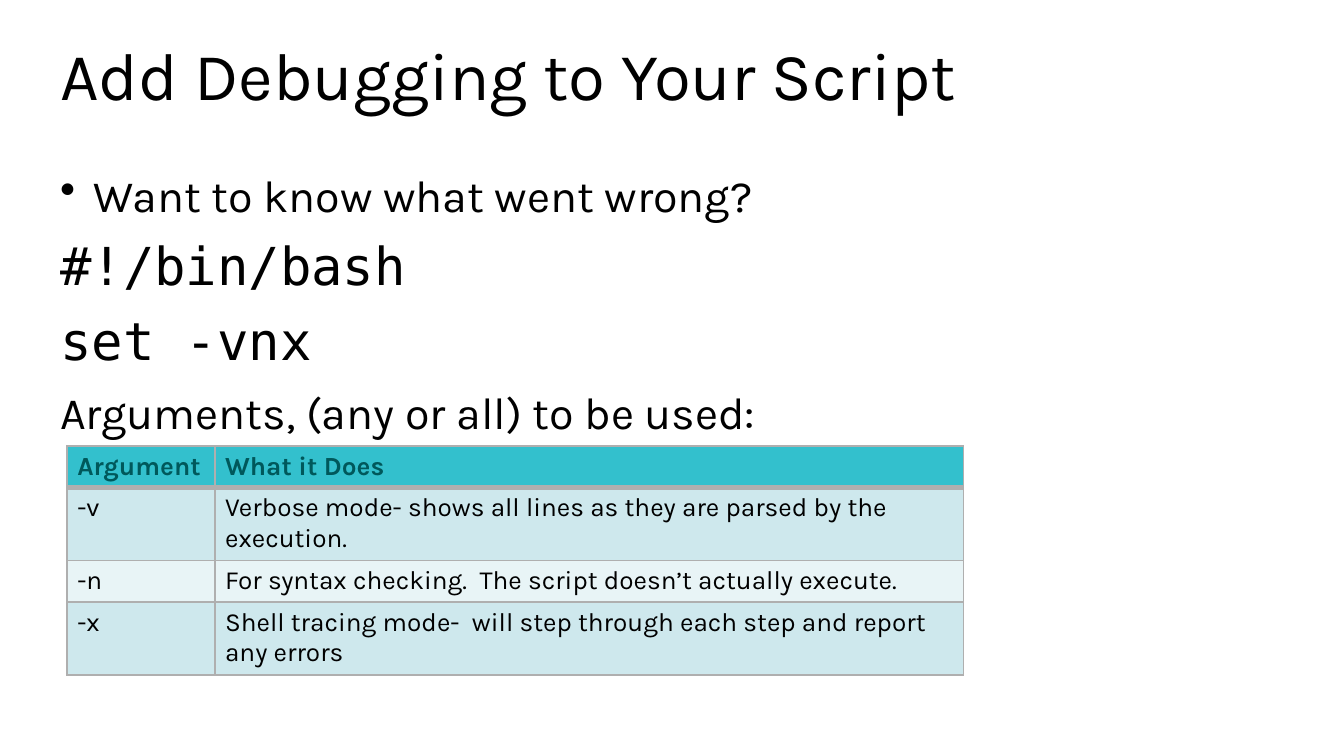
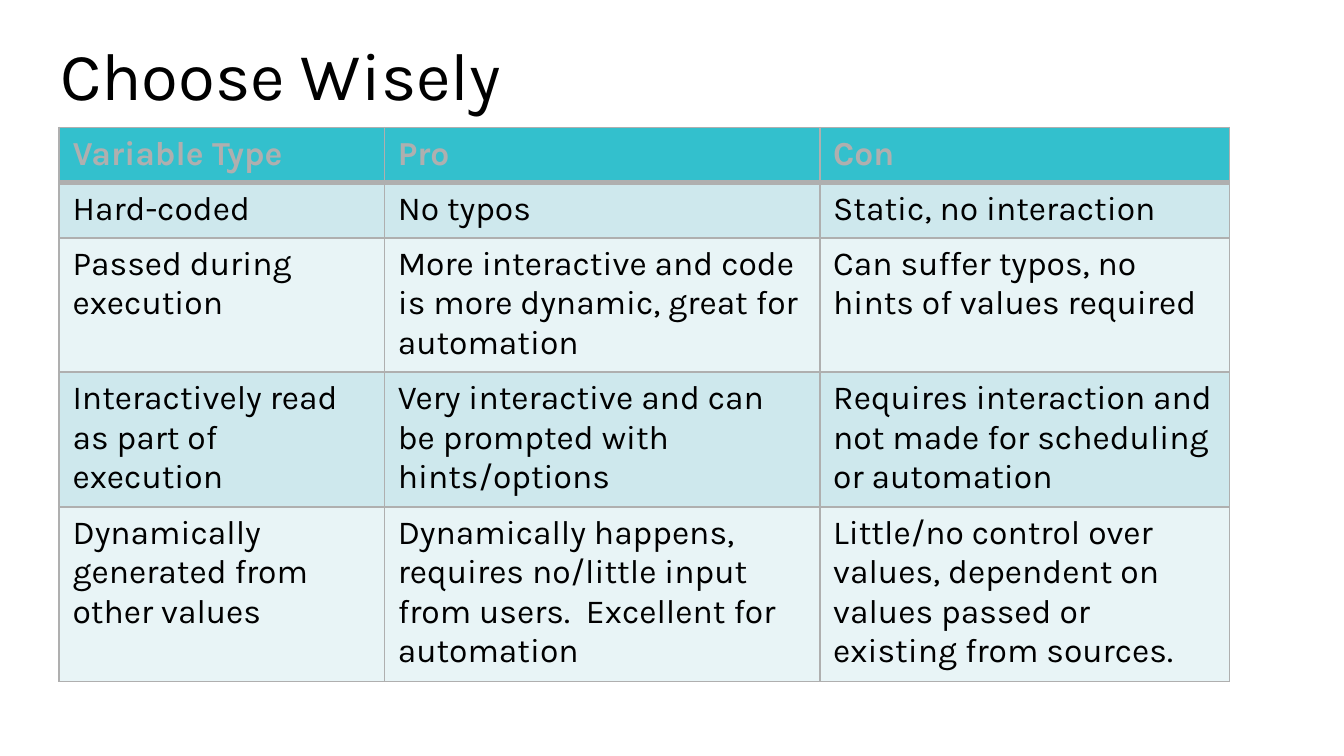
import pptx
import pptx.util
import pptx.dml.color
import pptx.enum.text
import pptx.oxml.ns
import lxml.etree
from collections import namedtuple
from dataclasses import dataclass

Box = namedtuple("Box", "x y w h")


@dataclass(frozen=True)
class Theme:
    font: str = "Karla"
    mono: str = "DejaVu Sans Mono"
    ink: str = "000000"
    header: str = "33C0CD"
    header_ink: str = "00585B"
    rule: str = "AFAFAF"
    bands: tuple = ("CEE8ED", "E8F4F6")
    title: int = 36
    title_line: int = 35
    body: int = 24
    code: int = 28
    table: int = 18
    table_small: int = 14
    thin: int = 1
    thick: int = 3


T = Theme()
UNIT = pptx.util.Inches(0.1)
SLIDE = Box(0, 0, 100, 56.25)
TITLE = Box(3.5, 2.7, 92.7, 6.7)
BODY = Box(3.5, 12.4, 92.7, 37.1)
ARGUMENTS = Box(5, 33.2, 66.7, 16.6)
CHOICES = Box(4.4, 9.5, 87.1, 40.6)


def grid(n):
    return int(n * UNIT)


def rgb(color):
    return pptx.dml.color.RGBColor.from_string(color)


def write(p, text, size=T.body, font=T.font, color=T.ink, bold=False,
          line=None, before=0, bullet=False):
    p.line_spacing = line
    p.space_before = pptx.util.Pt(before)
    if bullet:
        pPr = p._p.get_or_add_pPr()
        indent = grid(2.5)
        pPr.set("marL", str(indent))
        pPr.set("indent", str(-indent))
        bu = lxml.etree.SubElement(pPr, pptx.oxml.ns.qn("a:buChar"))
        bu.set("char", "•")
    r = p.add_run()
    r.text = text
    r.font.size = pptx.util.Pt(size)
    r.font.name = font
    r.font.bold = bold
    r.font.color.rgb = rgb(color)


def add_frame(s, box, anchor):
    tf = s.shapes.add_textbox(*map(grid, box)).text_frame
    tf.word_wrap = True
    tf.vertical_anchor = anchor
    return tf


def add_title(s, box, text):
    tf = add_frame(s, box, pptx.enum.text.MSO_ANCHOR.MIDDLE)
    write(tf.paragraphs[0], text, size=T.title, line=pptx.util.Pt(T.title_line))


def add_body(s, box, items):
    tf = add_frame(s, box, pptx.enum.text.MSO_ANCHOR.TOP)
    for i, (text, style) in enumerate(items):
        p = tf.add_paragraph() if i else tf.paragraphs[0]
        write(p, text, line=0.9, before=10, **style)


def set_borders(cell, **widths):
    tcPr = cell._tc.get_or_add_tcPr()
    for side in "LRTB":
        ln = lxml.etree.SubElement(tcPr, pptx.oxml.ns.qn("a:ln" + side))
        ln.set("w", str(pptx.util.Pt(widths.get(side, T.thin))))
        fill = lxml.etree.SubElement(ln, pptx.oxml.ns.qn("a:solidFill"))
        lxml.etree.SubElement(fill, pptx.oxml.ns.qn("a:srgbClr")).set("val", T.rule)


def share(total, weights):
    return [grid(total * w / sum(weights)) for w in weights]


def add_grid_table(s, box, rows, col_weights, row_weights, size, header_ink, inset):
    tbl = s.shapes.add_table(len(rows), len(col_weights), *map(grid, box)).table
    tbl.horz_banding = False
    for col, width in zip(tbl.columns, share(box.w, col_weights)):
        col.width = width
    for row, height in zip(tbl.rows, share(box.h, row_weights)):
        row.height = height
    for i, texts in enumerate(rows):
        head = i == 0
        for j, text in enumerate(texts):
            cell = tbl.cell(i, j)
            set_borders(cell, T=T.thick if i == 1 else T.thin,
                        B=T.thick if head else T.thin)
            cell.fill.solid()
            cell.fill.fore_color.rgb = rgb(T.header if head else T.bands[(i - 1) % 2])
            cell.margin_left = cell.margin_right = grid(inset)
            cell.margin_top = cell.margin_bottom = grid(inset / 2)
            write(cell.text_frame.paragraphs[0], text, size=size, bold=head,
                  color=header_ink if head else T.ink)


def new_slide(prs, title):
    s = prs.slides.add_slide(prs.slide_layouts[6])
    add_title(s, TITLE, title)
    return s


def debugging_slide(prs):
    s = new_slide(prs, "Add Debugging to Your Script")
    code = dict(font=T.mono, size=T.code)
    add_body(s, BODY, [
        ("Want to know what went wrong?", dict(bullet=True)),
        ("#!/bin/bash", code),
        ("set -vnx", code),
        ("Arguments, (any or all) to be used:", {}),
    ])
    rows = [
        ("Argument", "What it Does"),
        ("-v", "Verbose mode- shows all lines as they are parsed by the execution."),
        ("-n", "For syntax checking.  The script doesn’t actually execute."),
        ("-x", "Shell tracing mode-  will step through each step and report any errors"),
    ]
    add_grid_table(s, ARGUMENTS, rows, (1.1, 5.57), (0.3, 0.53, 0.3, 0.53),
                   T.table_small, T.header_ink, 0.75)


def choices_slide(prs):
    s = new_slide(prs, "Choose Wisely")
    rows = [
        ("Variable Type", "Pro", "Con"),
        ("Hard-coded", "No typos", "Static, no interaction"),
        ("Passed during execution",
         "More interactive and code is more dynamic, great for automation",
         "Can suffer typos, no hints of values required"),
        ("Interactively read as part of execution",
         "Very interactive and can be prompted with hints/options",
         "Requires interaction and not made for scheduling or automation"),
        ("Dynamically generated from other values",
         "Dynamically happens, requires no/little input from users.  "
         "Excellent for automation",
         "Little/no control over values, dependent on values passed or "
         "existing from sources."),
    ]
    add_grid_table(s, CHOICES, rows, (2.42, 3.24, 3.05),
                   (0.41, 0.41, 0.98, 0.98, 1.28), T.table, T.rule, 1)


def main():
    prs = pptx.Presentation()
    prs.slide_width = grid(SLIDE.w)
    prs.slide_height = grid(SLIDE.h)
    debugging_slide(prs)
    choices_slide(prs)
    prs.save("out.pptx")


if __name__ == "__main__":
    main()
